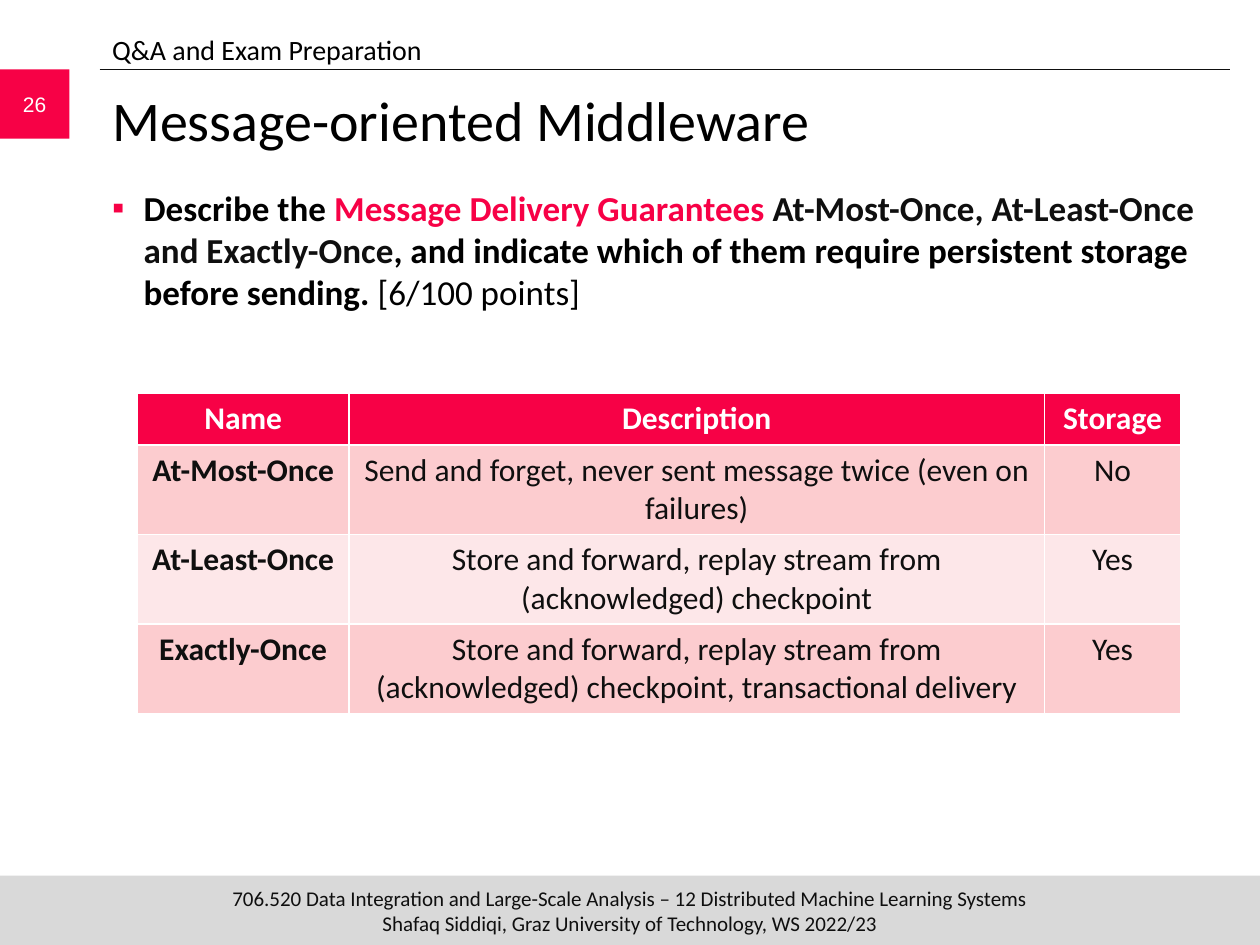
"""Build the exam preparation slide on message delivery guarantees."""
import pptx
import pptx.dml.color
import pptx.enum.shapes
import pptx.enum.text
import pptx.oxml.ns
import pptx.util
from lxml import etree

COLORS = {"accent": "F70146", "ink": "0F0F0F", "black": "000000", "white": "FFFFFF",
          "footer": "D9D9D9", "odd": "FCCCCF", "even": "FDE7E9"}
WIDTH, HEIGHT = 10, 7.5
BAND = 0.55
LEFT = 0.79
CONTENT_WIDTH = 8.96

HEADER = "Q&A and Exam Preparation"
TITLE = "Message-oriented Middleware"
PAGE = "26"
FOOTER = ("706.520 Data Integration and Large-Scale Analysis – 12 Distributed Machine Learning Systems\v"
          "Shafaq Siddiqi, Graz University of Technology, WS 2022/23")
QUESTION = [
    ("Describe the ", "black", True),
    ("Message Delivery Guarantees ", "accent", True),
    ("At-Most-Once, At-Least-Once and Exactly-Once", "ink", True),
    (", and indicate which of them require persistent storage before sending. ", "black", True),
    ("[6/100 points]", "black", False),
]
GUARANTEES = [
    ("Name", "Description", "Storage"),
    ("At-Most-Once", "Send and forget, never sent message twice (even on failures)", "No"),
    ("At-Least-Once", "Store and forward, replay stream from (acknowledged) checkpoint", "Yes"),
    ("Exactly-Once", "Store and forward, replay stream from (acknowledged) checkpoint, "
                     "transactional delivery", "Yes"),
]
COLUMN_WIDTHS = (1.68, 5.52, 1.08)
ROW_HEIGHTS = (0.41, 0.7, 0.7, 0.7)


def rgb(name):
    return pptx.dml.color.RGBColor.from_string(COLORS[name])


def inches(*lengths):
    return [pptx.util.Inches(length) for length in lengths]


def style(run, size, color, bold=False, face="Calibri"):
    run.font.size = pptx.util.Pt(size)
    run.font.name = face
    run.font.bold = bold
    run.font.color.rgb = rgb(color)


def place(placeholder, left, top, width, height):
    placeholder.left, placeholder.top, placeholder.width, placeholder.height = inches(
        left, top, width, height)
    frame = placeholder.text_frame
    frame.word_wrap = True
    frame.auto_size = pptx.enum.text.MSO_AUTO_SIZE.NONE
    frame.vertical_anchor = pptx.enum.text.MSO_ANCHOR.TOP
    paragraph = frame.paragraphs[0]
    paragraph.alignment = pptx.enum.text.PP_ALIGN.LEFT
    paragraph.space_before = pptx.util.Pt(0)
    return paragraph


def set_bullet(paragraph, char=None, indent=0):
    properties = paragraph._p.get_or_add_pPr()
    properties.set("marL", str(pptx.util.Inches(indent)))
    properties.set("indent", str(-pptx.util.Inches(indent)))

    def add(parent, tag, **attributes):
        return etree.SubElement(parent, pptx.oxml.ns.qn(tag), **attributes)

    if char:
        add(add(properties, "a:buClr"), "a:srgbClr", val=COLORS["accent"])
        add(properties, "a:buChar", char=char)
    else:
        add(properties, "a:buNone")


def add_band(slide, box, fill, text, color, face):
    band = slide.shapes.add_shape(pptx.enum.shapes.MSO_SHAPE.RECTANGLE, *inches(*box))
    band.shadow.inherit = False
    band.fill.solid()
    band.fill.fore_color.rgb = rgb(fill)
    band.line.fill.background()
    frame = band.text_frame
    frame.margin_left = frame.margin_right = frame.margin_top = frame.margin_bottom = 0
    frame.vertical_anchor = pptx.enum.text.MSO_ANCHOR.MIDDLE
    frame.text = text
    frame.paragraphs[0].alignment = pptx.enum.text.PP_ALIGN.CENTER
    for run in frame.paragraphs[0].runs:
        style(run, 12, color, face=face)


def add_guarantees(slide):
    box = inches(1.09, 3.12, sum(COLUMN_WIDTHS), sum(ROW_HEIGHTS))
    table = slide.shapes.add_table(len(GUARANTEES), len(COLUMN_WIDTHS), *box).table
    for column, width in zip(table.columns, COLUMN_WIDTHS):
        column.width = pptx.util.Inches(width)
    for row, height in zip(table.rows, ROW_HEIGHTS):
        row.height = pptx.util.Inches(height)
    for r, texts in enumerate(GUARANTEES):
        fill = "accent" if r == 0 else "odd" if r % 2 else "even"
        for c, text in enumerate(texts):
            cell = table.cell(r, c)
            cell.fill.solid()
            cell.fill.fore_color.rgb = rgb(fill)
            cell.text = text
            paragraph = cell.text_frame.paragraphs[0]
            paragraph.alignment = pptx.enum.text.PP_ALIGN.CENTER
            style(paragraph.runs[0], 18, "ink" if r else "white", bold=r == 0 or c == 0)


def main():
    deck = pptx.Presentation()
    deck.slide_width, deck.slide_height = inches(WIDTH, HEIGHT)
    slide = deck.slides.add_slide(deck.slide_layouts.get_by_name("Two Content"))
    title, question, header = list(slide.placeholders)[:3]

    add_band(slide, (0, HEIGHT - BAND, WIDTH, BAND), "footer", FOOTER, "ink", "Calibri")
    add_band(slide, (0, BAND, BAND, BAND), "accent", PAGE, "white", "Arial")
    rule = slide.shapes.add_connector(pptx.enum.shapes.MSO_CONNECTOR.STRAIGHT,
                                      *inches(LEFT, BAND, 9.76, BAND))
    rule.line.color.rgb = rgb("ink")
    rule.line.width = pptx.util.Pt(0.5)
    etree.SubElement(rule._element.spPr, pptx.oxml.ns.qn("a:effectLst"))

    heading = place(title, LEFT, 0.63, CONTENT_WIDTH, 0.83)
    heading.text = TITLE
    style(heading.runs[0], 32, "black")

    chapter = place(header, LEFT, 0.21, 9, 0.36)
    set_bullet(chapter)
    chapter.text = HEADER
    style(chapter.runs[0], 16, "black")

    task = place(question, LEFT, 1.43, CONTENT_WIDTH, 5.4)
    set_bullet(task, "▪", 0.25)
    for text, color, bold in QUESTION:
        run = task.add_run()
        run.text = text
        style(run, 20, color, bold)

    add_guarantees(slide)
    deck.save("out.pptx")


if __name__ == "__main__":
    main()
